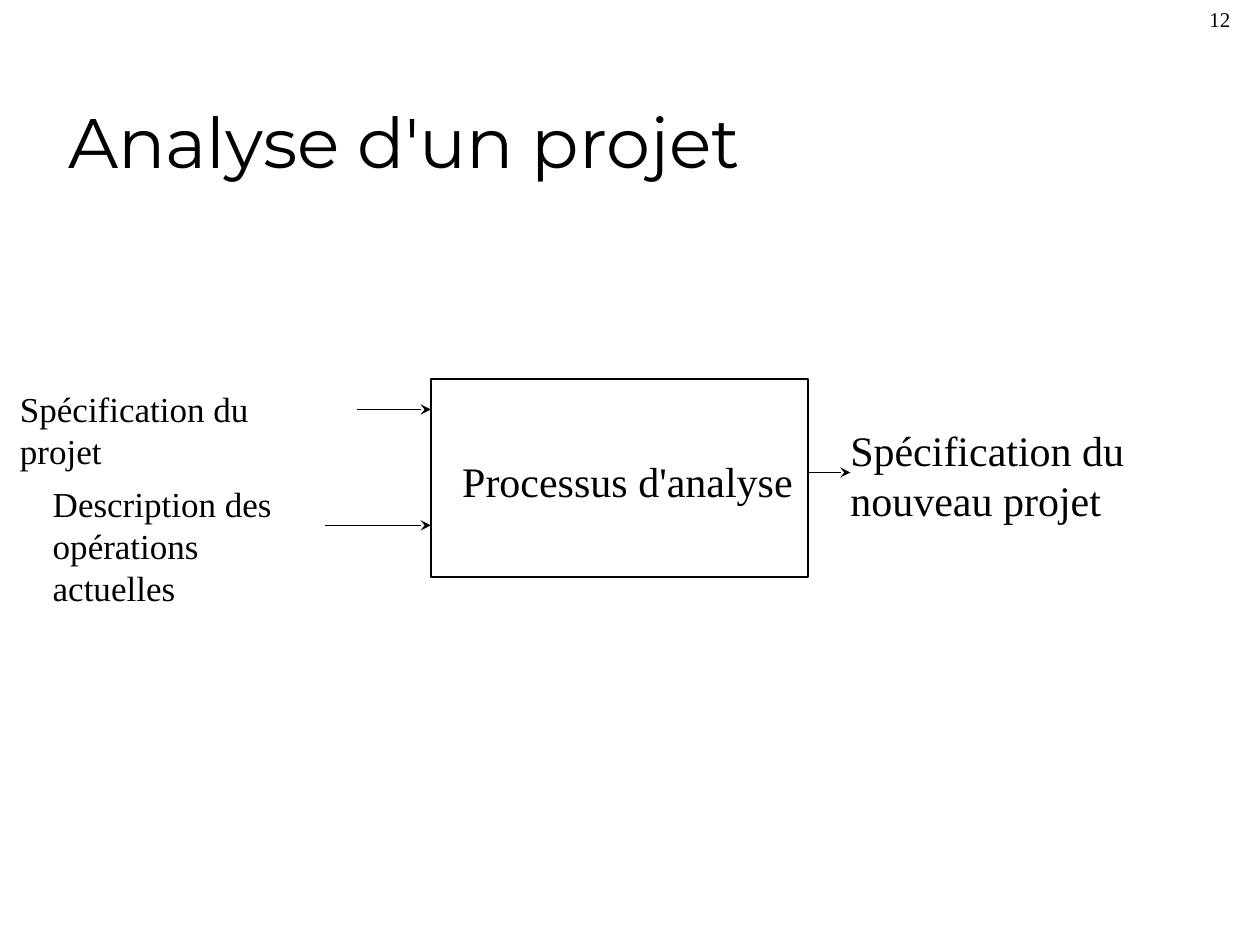
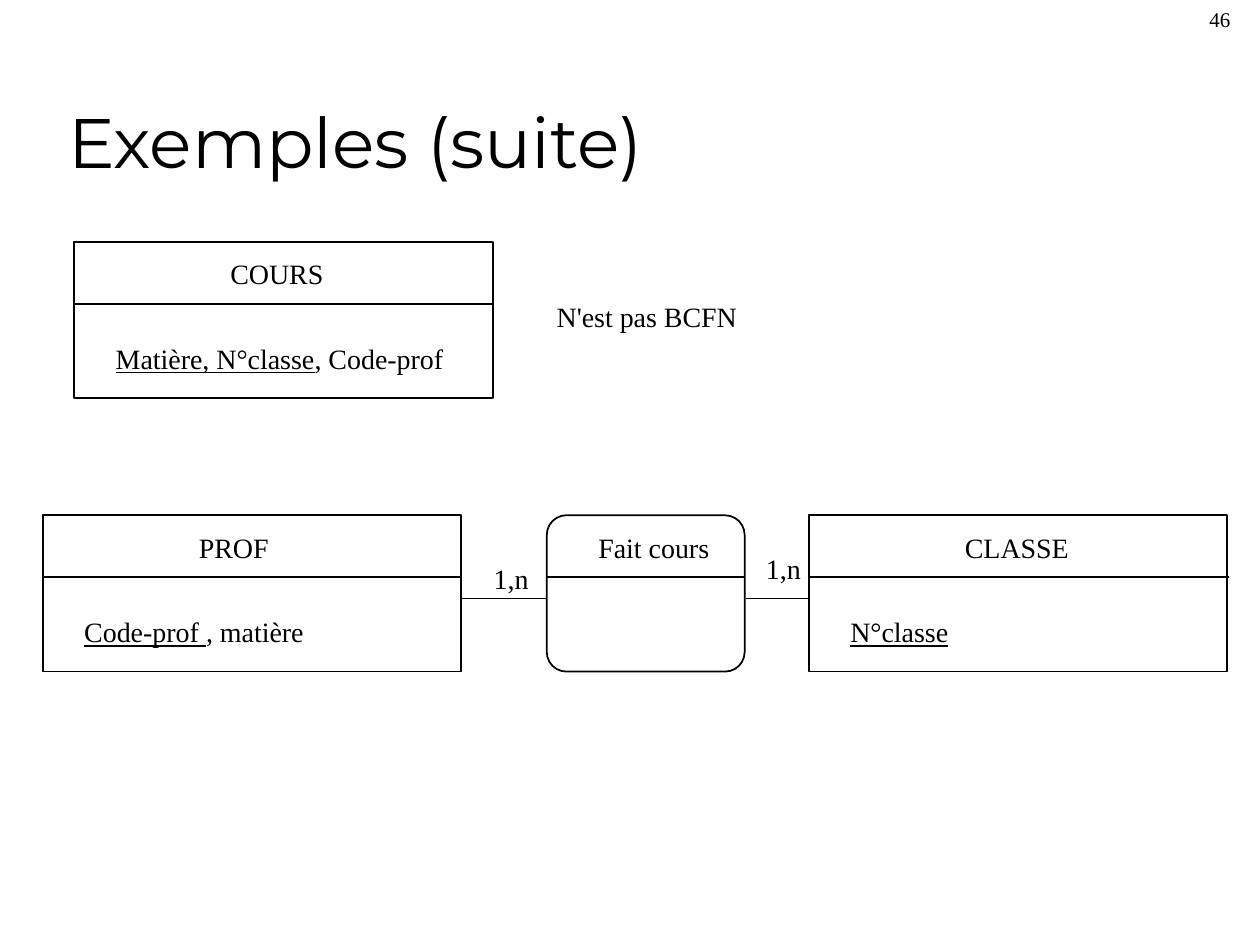
from dataclasses import dataclass

from lxml.etree import SubElement
from pptx import Presentation
from pptx.dml.color import RGBColor
from pptx.enum.shapes import MSO_CONNECTOR, MSO_SHAPE
from pptx.enum.text import MSO_ANCHOR, MSO_AUTO_SIZE, PP_ALIGN
from pptx.oxml.ns import qn
from pptx.util import Inches, Pt


@dataclass(frozen=True)
class Theme:
    """Colours, fonts and sizes shared by all slides."""

    ink: RGBColor = RGBColor(0, 0, 0)
    paper: RGBColor = RGBColor(255, 255, 255)
    title_font: str = "Montserrat"
    body_font: str = "Times New Roman"
    title_size: int = 40
    large: int = 24
    medium: int = 20
    small: int = 16
    number_size: int = 12
    line_width: int = 1


class DeckBuilder:
    """Holds the style and the slide being drawn."""

    ENTITY_WIDTH = 3.32
    ENTITY_HEIGHT = 1.24
    HEADER_HEIGHT = 0.49

    def __init__(self, deck, theme):
        """Keep the deck and its theme."""
        self.deck = deck
        self.theme = theme
        self.page = None

    def start_page(self, title, number):
        """Add a slide with its title and page number."""
        self.page = self.deck.slides.add_slide(self.deck.slide_layouts[5])
        fill = self.page.background.fill
        fill.solid()
        fill.fore_color.rgb = self.theme.paper
        box = self.page.shapes.title
        box.left, box.top = Inches(0.44), Inches(0.25)
        box.width, box.height = Inches(8.5), Inches(1.25)
        frame = box.text_frame
        frame.text = title
        frame.vertical_anchor = MSO_ANCHOR.BOTTOM
        frame.auto_size = MSO_AUTO_SIZE.NONE
        frame.paragraphs[0].alignment = PP_ALIGN.LEFT
        self.format(frame.paragraphs[0].runs[0], self.theme.title_size, self.theme.title_font)
        self.label(9.5, 0, 0.5, 0.3, number, self.theme.number_size, wrap=True)

    def format(self, span, size, font=None):
        """Give a run its font, size and colour."""
        span.font.name = font or self.theme.body_font
        span.font.size = Pt(size)
        span.font.color.rgb = self.theme.ink

    def label(self, left, top, width, height, text, size, wrap=False, key="", parent=None):
        """Add a text box; the key is underlined ahead of the text."""
        shapes = (parent or self.page).shapes
        box = shapes.add_textbox(Inches(left), Inches(top), Inches(width), Inches(height))
        frame = box.text_frame
        frame.text = key or text
        if key:
            frame.paragraphs[0].runs[0].font.underline = True
            if text:
                frame.paragraphs[0].add_run().text = text
        frame.word_wrap = wrap
        frame.auto_size = MSO_AUTO_SIZE.SHAPE_TO_FIT_TEXT
        for para in frame.paragraphs:
            for span in para.runs:
                self.format(span, size)

    def frame(self, left, top, width, height, kind=MSO_SHAPE.RECTANGLE, parent=None):
        """Add an unfilled outlined shape and return it."""
        shapes = (parent or self.page).shapes
        shape = shapes.add_shape(kind, Inches(left), Inches(top), Inches(width), Inches(height))
        shape.shadow.inherit = False
        shape.fill.background()
        shape.line.color.rgb = self.theme.ink
        shape.line.width = Pt(self.theme.line_width)
        return shape

    def rule(self, start, end, y, arrow=False, parent=None):
        """Add a horizontal line, with an arrowhead at its end if asked."""
        shapes = (parent or self.page).shapes
        line = shapes.add_connector(
            MSO_CONNECTOR.STRAIGHT, Inches(start), Inches(y), Inches(end), Inches(y))
        line.line.color.rgb = self.theme.ink
        line.line.width = Pt(self.theme.line_width)
        if arrow:
            SubElement(line.line._get_or_add_ln(), qn("a:tailEnd"), type="stealth")
        SubElement(line._element.spPr, qn("a:effectLst"))

    def entity(self, left, top, name, name_width, key, rest, attribute_width):
        """Add a grouped entity: name above the rule, attributes below."""
        group = self.page.shapes.add_group_shape()
        size = self.theme.small
        self.frame(left, top, self.ENTITY_WIDTH, self.ENTITY_HEIGHT, parent=group)
        self.rule(left, left + self.ENTITY_WIDTH + 0.01, top + self.HEADER_HEIGHT, parent=group)
        self.label(left + 1.14, top + 0.07, name_width, 0.37, name, size, parent=group)
        self.label(left + 0.23, top + 0.74, attribute_width, 0.37, rest, size,
                   key=key, parent=group)

    def association(self, left, top, width, name, name_width):
        """Add a rounded association box with its name above a rule."""
        shape = self.frame(left, top, width, self.ENTITY_HEIGHT, MSO_SHAPE.ROUNDED_RECTANGLE)
        shape.adjustments[0] = 0.125
        self.rule(left, left + width, top + self.HEADER_HEIGHT)
        self.label(left + 0.31, top + 0.07, name_width, 0.37, name, self.theme.small)


def draw_analysis(builder):
    """Draw the inputs, the process and its output."""
    theme = builder.theme
    builder.start_page("Analyse d'un projet", "12")
    builder.frame(3.42, 3.01, 2.99, 1.57)
    builder.label(0.06, 3.03, 2.65, 0.77, "Spécification du projet", theme.medium, wrap=True)
    builder.label(0.32, 3.78, 2.35, 1.1, "Description des\nopérations actuelles",
                  theme.medium, wrap=True)
    builder.label(3.57, 3.57, 2.83, 0.5, "Processus d'analyse", theme.large)
    builder.label(6.65, 3.32, 2.38, 0.9, "Spécification du\nnouveau projet", theme.large)
    for start, end, y in ((2.83, 3.42, 3.25), (2.58, 3.42, 4.17), (6.42, 6.75, 3.75)):
        builder.rule(start, end, y, arrow=True)


def draw_examples(builder):
    """Draw the relation and its split into two linked entities."""
    size = builder.theme.small
    row = 4.09
    builder.start_page("Exemples (suite)", "46")
    builder.entity(0.59, 1.92, "COURS", 0.94, "Matière, N°classe", ", Code-prof", 2.81)
    builder.label(4.32, 2.33, 1.64, 0.37, "N'est pas BCFN", size)
    builder.entity(0.34, row, "PROF", 0.76, "Code-prof ", ", matière", 1.95)
    builder.entity(6.42, row, "CLASSE", 1.03, "N°classe", "", 0.98)
    builder.association(4.34, row, 1.57, "Fait cours", 1.08)
    for start, end in ((3.67, 4.33), (5.92, 6.42)):
        builder.rule(start, end, 4.75)
    for left, top in ((3.82, 4.41), (5.98, 4.33)):
        builder.label(left, top, 0.48, 0.37, "1,n", size)


def main():
    """Build and save the deck."""
    deck = Presentation()
    deck.slide_width, deck.slide_height = Inches(10), Inches(7.5)
    builder = DeckBuilder(deck, Theme())
    draw_analysis(builder)
    draw_examples(builder)
    deck.save("out.pptx")


main()
